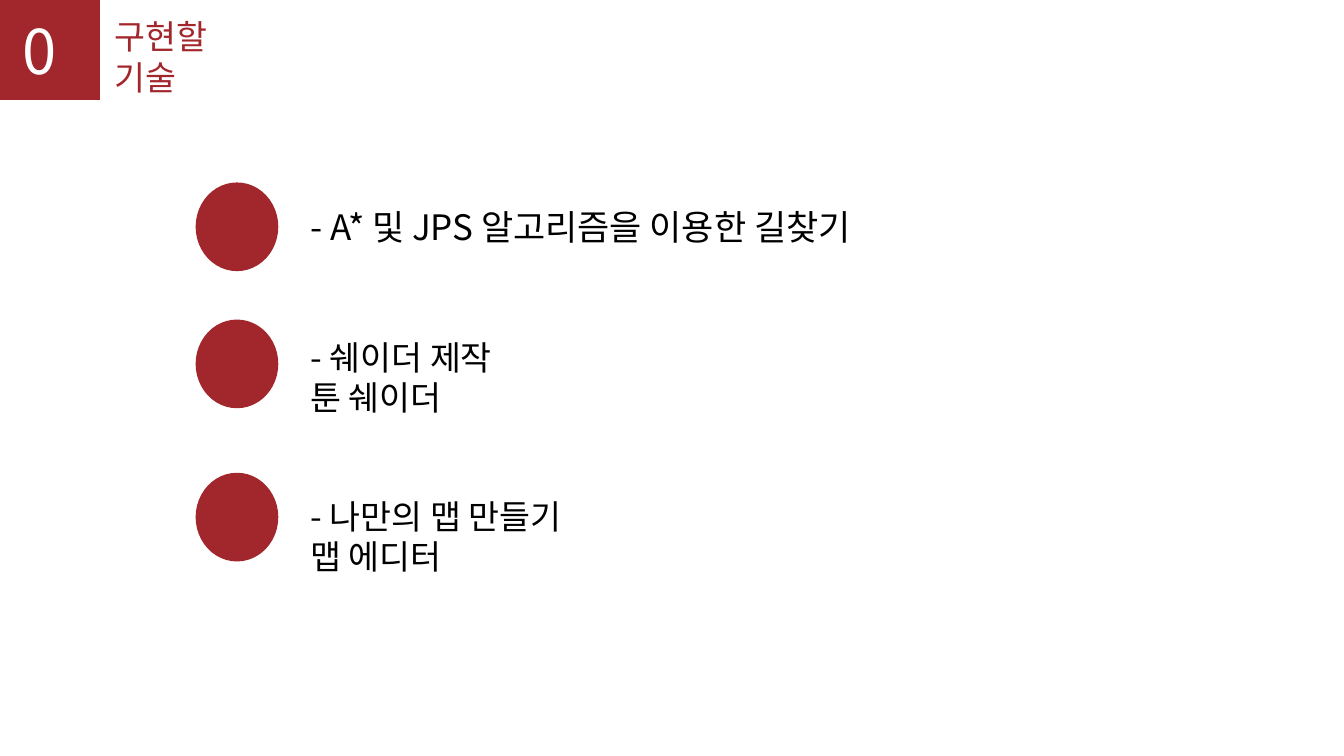
"""Build the slide listing the techniques to implement."""
import dataclasses
import typing

import pptx
import pptx.dml.color
import pptx.enum.shapes
import pptx.enum.text
import pptx.oxml
import pptx.oxml.ns
import pptx.util

Inches = pptx.util.Inches
Pt = pptx.util.Pt
RGB = pptx.dml.color.RGBColor
SHAPE = pptx.enum.shapes.MSO_SHAPE


@dataclasses.dataclass(frozen=True)
class Theme:
    font: str = "Noto Sans CJK KR"
    accent: RGB = RGB(0xA2, 0x27, 0x2C)
    ink: RGB = RGB(0, 0, 0)
    paper: RGB = RGB(0xFF, 0xFF, 0xFF)
    number: int = 44
    title: int = 24
    body: int = 24
    lead: int = 25


@dataclasses.dataclass(frozen=True)
class Box:
    left: float
    top: float
    width: float
    height: float

    def place(self) -> dict[str, int]:
        return {k: Inches(v) for k, v in dataclasses.asdict(self).items()}


@dataclasses.dataclass(frozen=True)
class Technique:
    lines: tuple[str, ...]
    dot_top: float
    text_top: float
    height: float
    size: int


THEME = Theme()
TECHNIQUES = (
    Technique(("- A* 및 JPS 알고리즘을 이용한 길찾기",), 1.81, 1.99, 0.52, THEME.lead),
    Technique(("- 쉐이더 제작", "툰 쉐이더"), 3.17, 3.29, 0.91, THEME.body),
    Technique(("- 나만의 맵 만들기", "맵 에디터"), 4.69, 4.87, 0.91, THEME.body),
)


def apply(target: typing.Any, values: dict[str, typing.Any]) -> None:
    for name, value in values.items():
        setattr(target, name, value)


def add_solid(slide: typing.Any, kind: SHAPE, box: Box) -> None:
    sp = slide.shapes.add_shape(kind, **box.place())
    sp.shadow.inherit = False
    sp.fill.solid()
    sp.fill.fore_color.rgb = THEME.accent
    sp.line.fill.background()


def write(sp: typing.Any, box: Box, lines: tuple[str, ...], size: int, color: RGB) -> None:
    apply(sp, box.place())
    tf = sp.text_frame
    apply(tf, {
        "word_wrap": True,
        "auto_size": pptx.enum.text.MSO_AUTO_SIZE.NONE,
        "vertical_anchor": pptx.enum.text.MSO_ANCHOR.TOP,
    })
    for i, line in enumerate(lines):
        p = tf.add_paragraph() if i else tf.paragraphs[0]
        apply(p, {"alignment": pptx.enum.text.PP_ALIGN.LEFT, "space_before": Pt(0)})
        pPr = p._p.get_or_add_pPr()
        for name in ("marL", "indent"):
            pPr.set(name, "0")
        pPr.append(pptx.oxml.parse_xml(f"<a:buNone {pptx.oxml.ns.nsdecls('a')}/>"))
        r = p.add_run()
        r.text = line
        apply(r.font, {"name": THEME.font, "size": Pt(size), "bold": False})
        r.font.color.rgb = color
        r._r.get_or_add_rPr().append(pptx.oxml.parse_xml(
            f'<a:ea {pptx.oxml.ns.nsdecls("a")} typeface="{THEME.font}"/>'))


def main() -> None:
    prs = pptx.Presentation()
    apply(prs, {"slide_width": Inches(13.33), "slide_height": Inches(7.5)})
    slide = prs.slides.add_slide(prs.slide_layouts.get_by_name("Comparison"))
    title, *bodies, spare = slide.placeholders
    spare.element.getparent().remove(spare.element)

    add_solid(slide, SHAPE.RECTANGLE, Box(0, 0, 0.99, 0.99))
    number = Box(0.12, 0.08, 0.82, 0.84)
    write(slide.shapes.add_textbox(**number.place()), number, ("0",), THEME.number, THEME.paper)
    write(title, Box(1.04, 0.11, 1.8, 0.5), ("구현할 기술",), THEME.title, THEME.accent)
    for sp, item in zip(bodies, TECHNIQUES):
        add_solid(slide, SHAPE.OVAL, Box(1.94, item.dot_top, 0.82, 0.88))
        write(sp, Box(2.98, item.text_top, 8.56, item.height), item.lines, item.size, THEME.ink)
    prs.save("out.pptx")


if __name__ == "__main__":
    main()
